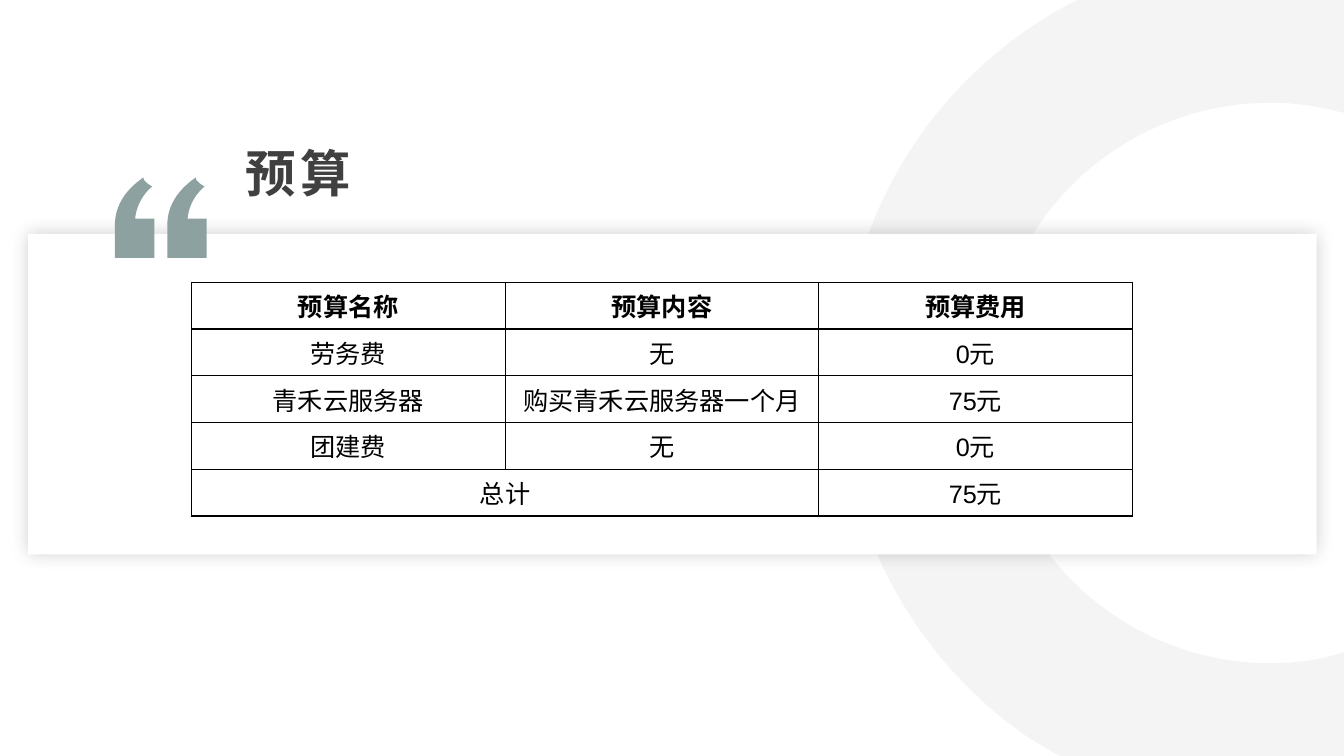
from lxml.etree import SubElement
from pptx import Presentation
from pptx.dml.color import RGBColor
from pptx.enum.shapes import MSO_SHAPE as SHAPE
from pptx.enum.text import MSO_ANCHOR as ANCHOR, PP_ALIGN as ALIGN
from pptx.oxml.ns import qn
from pptx.util import Inches, Pt

# Content
TITLE = "预算"
BUDGET = [
    ("预算名称", "预算内容", "预算费用"),
    ("劳务费", "无", "0元"),
    ("青禾云服务器", "购买青禾云服务器一个月", "75元"),
    ("团建费", "无", "0元"),
    ("总计", "", "75元"),
]

# Theme
THEME = dict(font="Arial", title="404040", ink="000000", ring="F2F2F2",
             panel="FFFFFF", quote="8EA1A1", title_size=36, cell_size=18)

# Layout, in inches
SLIDE_W, SLIDE_H = 13.33, 7.5
PANEL = (0.28, 2.32, 12.78, 3.18)
TITLE_BOX = (2.33, 1.37, 3.97, 0.68)
TABLE_X, TABLE_Y, COL_W, TABLE_H = 1.9, 2.8, 3.11, 2.32
QUOTE_Y, QUOTE_XS = 1.76, (1.66, 1.14)

# Outlines: two numbers are a corner, six are a Bezier curve
RING = [
    (10.69, 0), (SLIDE_W, 0), (SLIDE_W, 1.12), (13.16, 1.08),
    (12.98, 1.04, 12.79, 1.02, 12.6, 1.02),
    (11.07, 1.02, 9.82, 2.26, 9.82, 3.8),
    (9.82, 5.33, 11.07, 6.58, 12.6, 6.58),
    (12.79, 6.58, 12.98, 6.56, 13.16, 6.52),
    (SLIDE_W, 6.47), (SLIDE_W, SLIDE_H), (10.51, SLIDE_H), (10.22, 7.33),
    (9.09, 6.56, 8.35, 5.27, 8.35, 3.8),
    (8.35, 2.18, 9.25, 0.78, 10.57, 0.06),
]
QUOTE_MARK = [
    (0.39, 0.8), (0, 0.8), (0, 0.45),
    (0.01, 0.16, 0.28, 0.01, 0.28, 0),
    (0.29, 0.03),
    (0.31, 0.05, 0.33, 0.07, 0.35, 0.08),
    (0.37, 0.09),
    (0.37, 0.09, 0.22, 0.2, 0.2, 0.41),
    (0.39, 0.41),
]


def inches(*values):
    return [Inches(v) for v in values]


def add_text(tf, text, size, color, bold=False, align=ALIGN.LEFT, spacing=None):
    p = tf.paragraphs[0]
    p.alignment = align
    r = p.add_run()
    r.text = text
    r.font.name = THEME["font"]
    r.font.size = Pt(size)
    r.font.bold = bold
    r.font.color.rgb = RGBColor.from_string(color)
    if spacing:
        r._r.get_or_add_rPr().set("spc", str(spacing * 100))


def paint(sp, color):
    sp.shadow.inherit = False
    sp.fill.solid()
    sp.fill.fore_color.rgb = RGBColor.from_string(color)
    sp.line.fill.background()


def add_outline(shapes, steps, color, left=0, top=0):
    steps = [inches(*(v + (top if i % 2 else left) for i, v in enumerate(step)))
             for step in steps]
    builder = shapes.build_freeform(*steps[0], scale=1.0)
    builder.add_line_segments([step[-2:] for step in steps[1:]], close=True)
    sp = builder.convert_to_shape()
    paint(sp, color)
    lines = list(sp._element.iter(qn("a:lnTo")))
    for line, step in zip(lines, steps[1:]):
        if len(step) == 6:
            bezier = line.getparent().makeelement(qn("a:cubicBezTo"))
            for x, y in zip(step[::2], step[1::2]):
                SubElement(bezier, qn("a:pt"), x=str(x - sp.left), y=str(y - sp.top))
            line.getparent().replace(line, bezier)
    return sp


def add_borders(cell):
    tc_pr = cell._tc.get_or_add_tcPr()
    for side in ("a:lnL", "a:lnR", "a:lnT", "a:lnB"):
        ln = SubElement(tc_pr, qn(side), w=str(Pt(1)))
        fill = SubElement(ln, qn("a:solidFill"))
        SubElement(fill, qn("a:srgbClr"), val=THEME["ink"])


prs = Presentation()
prs.slide_width, prs.slide_height = inches(SLIDE_W, SLIDE_H)
shapes = prs.slides.add_slide(prs.slide_layouts[6]).shapes

# Ring, cut off by the slide edges
ring = add_outline(shapes, RING, THEME["ring"])
ring_color = ring._element.spPr.find(qn("a:solidFill"))[0]
SubElement(ring_color, qn("a:alpha"), val="80000")

# Panel with a soft shadow
panel = shapes.add_shape(SHAPE.RECTANGLE, *inches(*PANEL))
paint(panel, THEME["panel"])
effects = panel._element.spPr.find(qn("a:effectLst"))
shadow = SubElement(effects, qn("a:outerShdw"), blurRad=str(Pt(13)), dist="0",
                    dir="0", algn="ctr", rotWithShape="0")
shadow_color = SubElement(shadow, qn("a:srgbClr"), val=THEME["ink"])
SubElement(shadow_color, qn("a:alpha"), val="18000")

# Quote marks
for left in QUOTE_XS:
    add_outline(shapes, QUOTE_MARK, THEME["quote"], left, QUOTE_Y)

# Title
tf = shapes.add_textbox(*inches(*TITLE_BOX)).text_frame
tf.word_wrap = False
tf.vertical_anchor = ANCHOR.MIDDLE
tf.margin_left, tf.margin_top, tf.margin_right, tf.margin_bottom = inches(
    0.11, 0.04, 0.07, 0.04)
add_text(tf, TITLE, THEME["title_size"], THEME["title"], bold=True, spacing=3)

# Budget table
rows, cols = len(BUDGET), len(BUDGET[0])
table = shapes.add_table(rows, cols, *inches(
    TABLE_X, TABLE_Y, COL_W * cols, TABLE_H)).table
table.first_row = table.horz_banding = False
for i, row in enumerate(BUDGET):
    for j, text in enumerate(row):
        cell = table.cell(i, j)
        add_borders(cell)
        cell.fill.background()
        if text:
            add_text(cell.text_frame, text, THEME["cell_size"], THEME["ink"],
                     bold=i == 0, align=ALIGN.CENTER)
table.cell(rows - 1, 0).merge(table.cell(rows - 1, 1))

prs.save("out.pptx")
